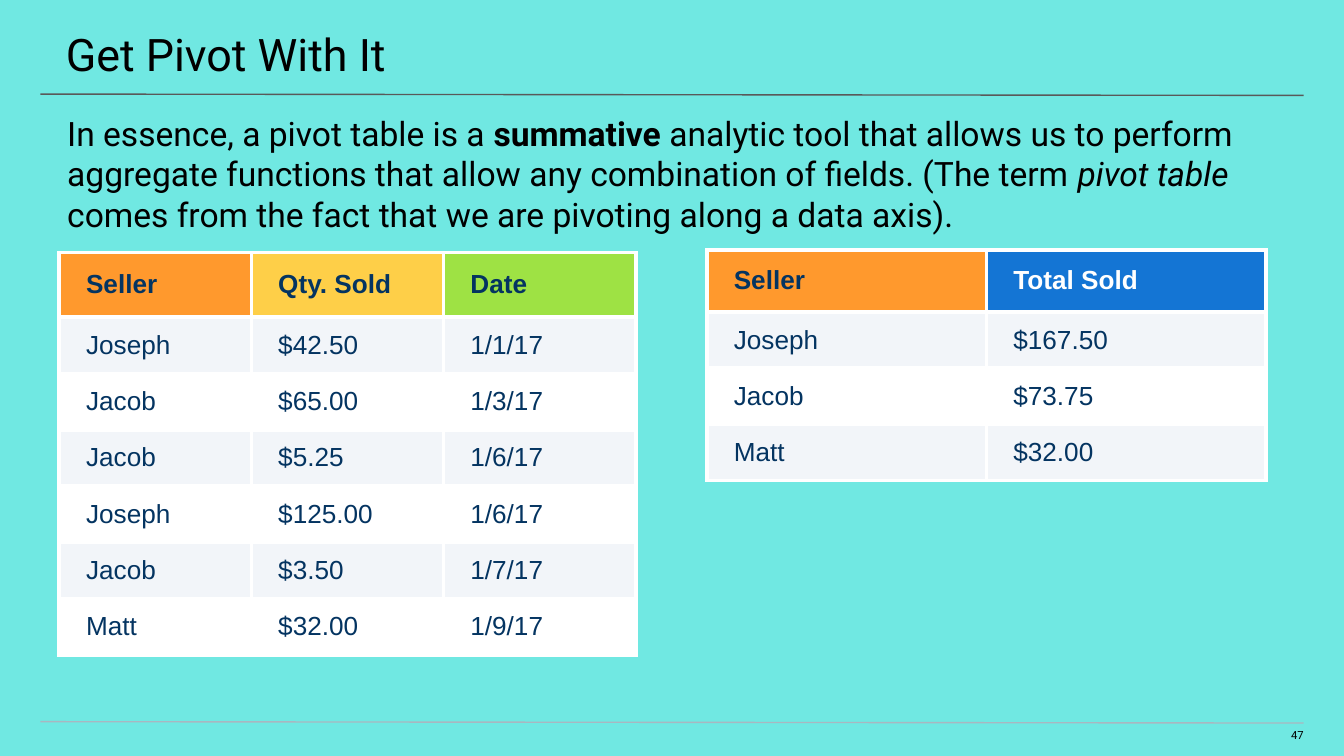
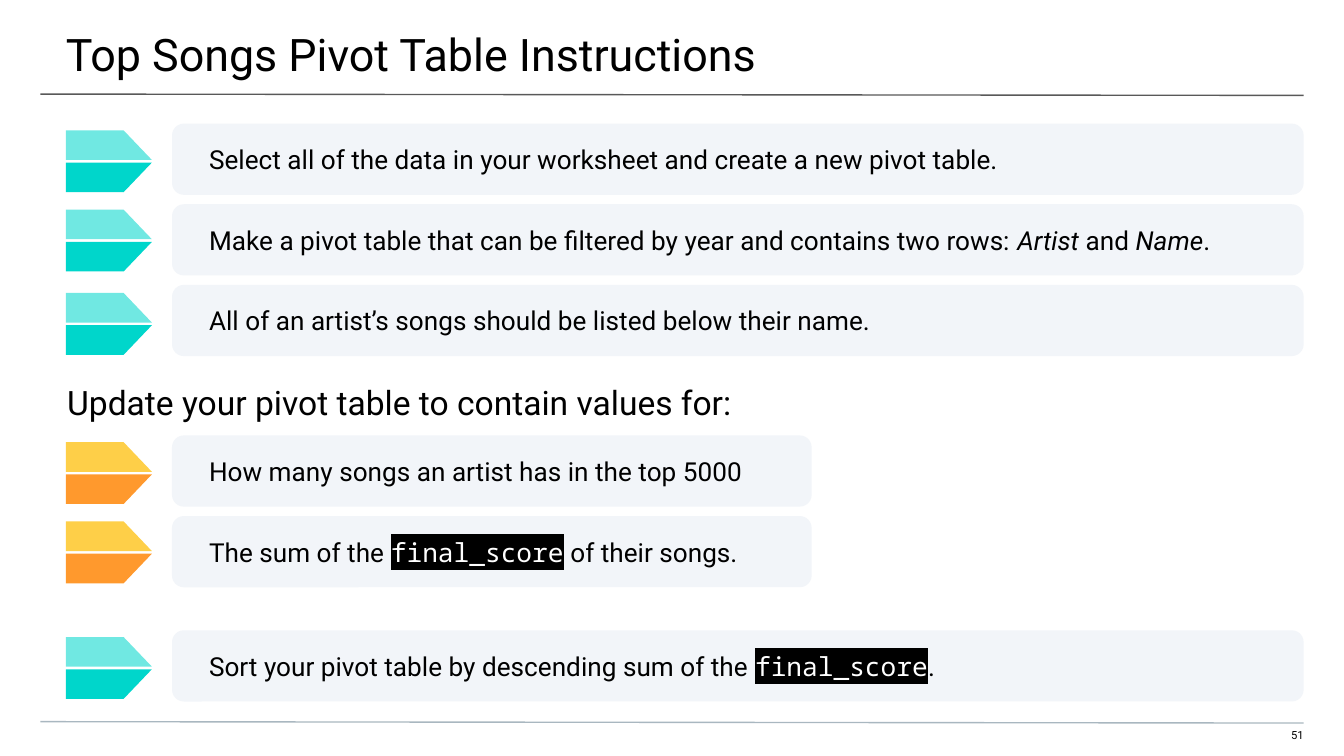
from lxml.etree import SubElement
from pptx import Presentation
from pptx.dml.color import RGBColor
from pptx.enum.shapes import MSO_CONNECTOR, MSO_SHAPE
from pptx.enum.text import MSO_ANCHOR, MSO_AUTO_SIZE, PP_ALIGN
from pptx.oxml.ns import qn
from pptx.util import Inches, Pt

BLACK = RGBColor(0x00, 0x00, 0x00)
WHITE = RGBColor(0xFF, 0xFF, 0xFF)
TEAL = RGBColor(0x00, 0xD6, 0xCB)
LIGHT_TEAL = RGBColor(0x70, 0xE8, 0xE2)
ORANGE = RGBColor(0xFF, 0x99, 0x2D)
YELLOW = RGBColor(0xFE, 0xCF, 0x48)
GREEN = RGBColor(0x9E, 0xE2, 0x44)
BLUE = RGBColor(0x14, 0x75, 0xD4)
NAVY = RGBColor(0x04, 0x34, 0x61)
PALE = RGBColor(0xF2, 0xF5, 0xF9)
TITLE_RULE = RGBColor(0x59, 0x59, 0x59)
FOOTER_RULE = RGBColor(0xA9, 0xB7, 0xC0)

SANS, MONO, TABLE_FONT = "Roboto", "Noto Sans Mono", "Arial"
WIDTH, HEIGHT = 10, 5.625
MARGIN = 0.3

# Text is a list of (words, style) spans; style is "", "bold", "italic" or "code".
PIVOT_INTRO = [
    ("In essence, a pivot table is a ", ""), ("summative", "bold"),
    (" analytic tool that allows us to perform aggregate functions that allow "
     "any combination of fields. (The term ", ""),
    ("pivot table", "italic"),
    (" comes from the fact that we are pivoting along a data axis).", ""),
]

SALES = [
    ("Seller", "Qty. Sold", "Date"),
    ("Joseph", "$42.50", "1/1/17"),
    ("Jacob", "$65.00", "1/3/17"),
    ("Jacob", "$5.25", "1/6/17"),
    ("Joseph", "$125.00", "1/6/17"),
    ("Jacob", "$3.50", "1/7/17"),
    ("Matt", "$32.00", "1/9/17"),
]
SALES_HEADS = [(ORANGE, NAVY), (YELLOW, NAVY), (GREEN, NAVY)]

TOTALS = [
    ("Seller", "Total Sold"),
    ("Joseph", "$167.50"),
    ("Jacob", "$73.75"),
    ("Matt", "$32.00"),
]
TOTALS_HEADS = [(ORANGE, NAVY), (BLUE, WHITE)]

VALUES_INTRO = [("Update your pivot table to contain values for:", "")]

TEAL_PAIR, ORANGE_PAIR = (LIGHT_TEAL, TEAL), (YELLOW, ORANGE)
FULL, HALF = 8.42, 4.76
STEP_PITCH = 0.6

# Each group: top of first box, box width, arrow colours, [(arrow offset, spans)].
STEP_GROUPS = [
    (0.92, FULL, TEAL_PAIR, [
        (0.05, [("Select all of the data in your worksheet and create a new "
                 "pivot table.", "")]),
        (0.04, [("Make a pivot table that can be filtered by year and contains "
                 "two rows: ", ""),
                ("Artist", "italic"), (" and ", ""), ("Name", "italic"), (".", "")]),
        (0.06, [("All of an artist’s songs should be listed below their name.", "")]),
    ]),
    (3.24, HALF, ORANGE_PAIR, [
        (0.05, [("How many songs an artist has in the top 5000", "")]),
        (0.04, [("The sum of the ", ""), ("final_score", "code"),
                (" of their songs.", "")]),
    ]),
    (4.69, FULL, TEAL_PAIR, [
        (0.05, [("Sort your pivot table by descending sum of the ", ""),
                ("final_score", "code"), (".", "")]),
    ]),
]


def place(shape, x, y, w, h):
    shape.left, shape.top = Inches(x), Inches(y)
    shape.width, shape.height = Inches(w), Inches(h)


def set_margins(target, left, top, right, bottom):
    target.margin_left, target.margin_top = Inches(left), Inches(top)
    target.margin_right, target.margin_bottom = Inches(right), Inches(bottom)


def style_run(r, size, color=BLACK, font=SANS, bold=False, italic=False):
    r.font.name, r.font.size = font, Pt(size)
    r.font.bold, r.font.italic = bold, italic
    r.font.color.rgb = color


def highlight(r, color):
    rpr = r.font._element
    mark = SubElement(rpr, qn("a:highlight"))
    SubElement(mark, qn("a:srgbClr")).set("val", str(color))
    rpr.find(qn("a:solidFill")).addnext(mark)


def write(tf, spans, size, margins, anchor=MSO_ANCHOR.TOP, align=PP_ALIGN.LEFT):
    """Fill a text frame with one paragraph of styled spans."""
    tf.word_wrap = True
    tf.auto_size = MSO_AUTO_SIZE.NONE
    tf.vertical_anchor = anchor
    set_margins(tf, *margins)
    p = tf.paragraphs[0]
    p.alignment = align
    p.space_before = Pt(0)
    for words, style in spans:
        r = p.add_run()
        r.text = words
        if style == "code":
            style_run(r, size, WHITE, MONO)
            highlight(r, BLACK)
        else:
            style_run(r, size, bold=style == "bold", italic=style == "italic")


def add_rule(s, y, color):
    line = s.shapes.add_connector(
        MSO_CONNECTOR.STRAIGHT, Inches(MARGIN), Inches(y),
        Inches(WIDTH - MARGIN), Inches(y + 0.01))
    line.line.color.rgb = color
    line.line.width = Pt(0.75)
    SubElement(line._element.spPr, qn("a:effectLst"))


def add_base_slide(prs, title, subtitle, subtitle_top, number, background):
    """Add a slide with its title, subtitle, rules and page number."""
    s = prs.slides.add_slide(prs.slide_layouts[0])
    s.background.fill.solid()
    s.background.fill.fore_color.rgb = background
    place(s.shapes.title, -0.01, 0, 10.03, 0.58)
    write(s.shapes.title.text_frame, [(title, "")], 24, (0.5, 0.2, 0.3, 0.1))
    body = s.placeholders[1]
    place(body, 0, subtitle_top, WIDTH, 0.4)
    write(body.text_frame, subtitle, 18, (0.5, 0.1, 0.5, 0))
    add_rule(s, 0.7, TITLE_RULE)
    add_rule(s, 5.37, FOOTER_RULE)
    page = s.shapes.add_textbox(Inches(9.41), Inches(5.42), Inches(0.29), Inches(0.12))
    write(page.text_frame, [(number, "")], 6, (0, 0, 0, 0.1), align=PP_ALIGN.RIGHT)
    return s


def add_borders(cell):
    tcpr = cell._tc.get_or_add_tcPr()
    for side in ("lnL", "lnR", "lnT", "lnB"):
        ln = SubElement(tcpr, qn(f"a:{side}"), w=str(Pt(2.25)))
        fill = SubElement(ln, qn("a:solidFill"))
        SubElement(fill, qn("a:srgbClr")).set("val", str(WHITE))


def add_data_table(s, rows, heads, x, y, col_w, head_h, row_h, right_margin):
    n_rows, n_cols = len(rows), len(heads)
    table = s.shapes.add_table(
        n_rows, n_cols, Inches(x), Inches(y), Inches(col_w * n_cols),
        Inches(head_h + row_h * (n_rows - 1))).table
    table.horz_banding = False
    for col in table.columns:
        col.width = Inches(col_w)
    for i, row in enumerate(rows):
        table.rows[i].height = Inches(row_h if i else head_h)
        for j, value in enumerate(row):
            fill, color = (PALE if i % 2 else WHITE, NAVY) if i else heads[j]
            cell = table.cell(i, j)
            add_borders(cell)
            cell.fill.solid()
            cell.fill.fore_color.rgb = fill
            cell.vertical_anchor = MSO_ANCHOR.MIDDLE
            set_margins(cell, 0.2, 0.1, right_margin, 0.1)
            cell.text_frame.text = value
            style_run(cell.text_frame.paragraphs[0].runs[0], 14, color,
                      TABLE_FONT, bold=i == 0)


def add_half_arrow(s, outer_y, inner_y, color):
    """Draw half of an arrow, its point lying at inner_y."""
    left, shoulder, tip = 0.49, 0.92, 1.13
    points = [(left, outer_y), (left, inner_y), (tip, inner_y), (shoulder, outer_y)]
    emu = [(Inches(x), Inches(y)) for x, y in points]
    builder = s.shapes.build_freeform(*emu[0])
    builder.add_line_segments(emu[1:], close=True)
    half = builder.convert_to_shape()
    half.shadow.inherit = False
    half.fill.solid()
    half.fill.fore_color.rgb = color
    half.line.fill.background()


def add_step(s, y, width, colors, arrow_offset, spans):
    box = s.shapes.add_shape(MSO_SHAPE.ROUNDED_RECTANGLE, Inches(1.28), Inches(y),
                             Inches(width), Inches(0.53))
    box.shadow.inherit = False
    box.fill.solid()
    box.fill.fore_color.rgb = PALE
    box.line.fill.background()
    write(box.text_frame, spans, 14, (0.25, 0.1, 0.1, 0.1), MSO_ANCHOR.MIDDLE)
    half_h, arrow_h = 0.22, 0.46
    top = y + arrow_offset
    add_half_arrow(s, top, top + half_h, colors[0])
    add_half_arrow(s, top + arrow_h, top + arrow_h - half_h, colors[1])


def main():
    prs = Presentation()
    prs.slide_width, prs.slide_height = Inches(WIDTH), Inches(HEIGHT)

    s = add_base_slide(prs, "Get Pivot With It", PIVOT_INTRO, 0.74, "47", LIGHT_TEAL)
    add_data_table(s, SALES, SALES_HEADS, 0.44, 1.88, 1.43, 0.48, 0.39, 0.1)
    add_data_table(s, TOTALS, TOTALS_HEADS, 5.26, 1.86, 2.08, 0.46, 0.37, 0.08)

    s = add_base_slide(prs, "Top Songs Pivot Table Instructions", VALUES_INTRO,
                       2.74, "51", WHITE)
    for top, width, colors, steps in STEP_GROUPS:
        for i, (arrow_offset, spans) in enumerate(steps):
            add_step(s, top + i * STEP_PITCH, width, colors, arrow_offset, spans)

    prs.save("out.pptx")


if __name__ == "__main__":
    main()
